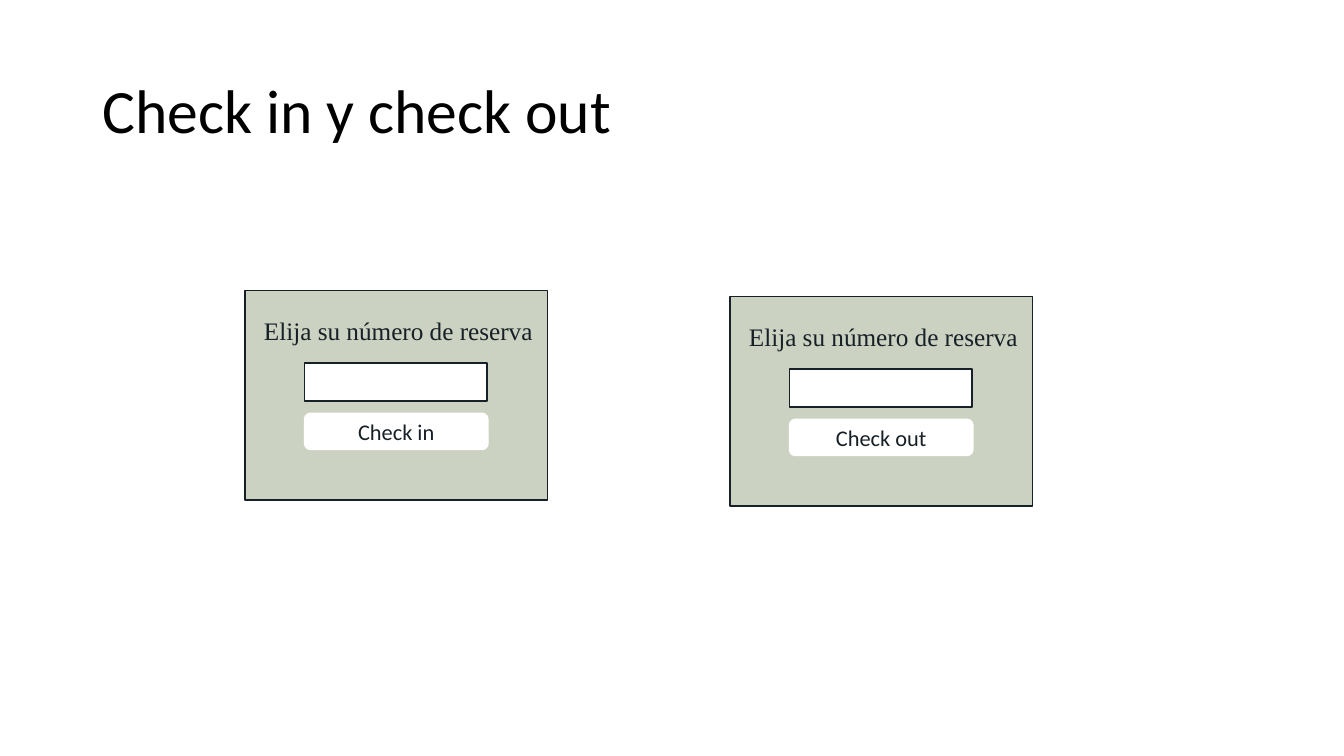
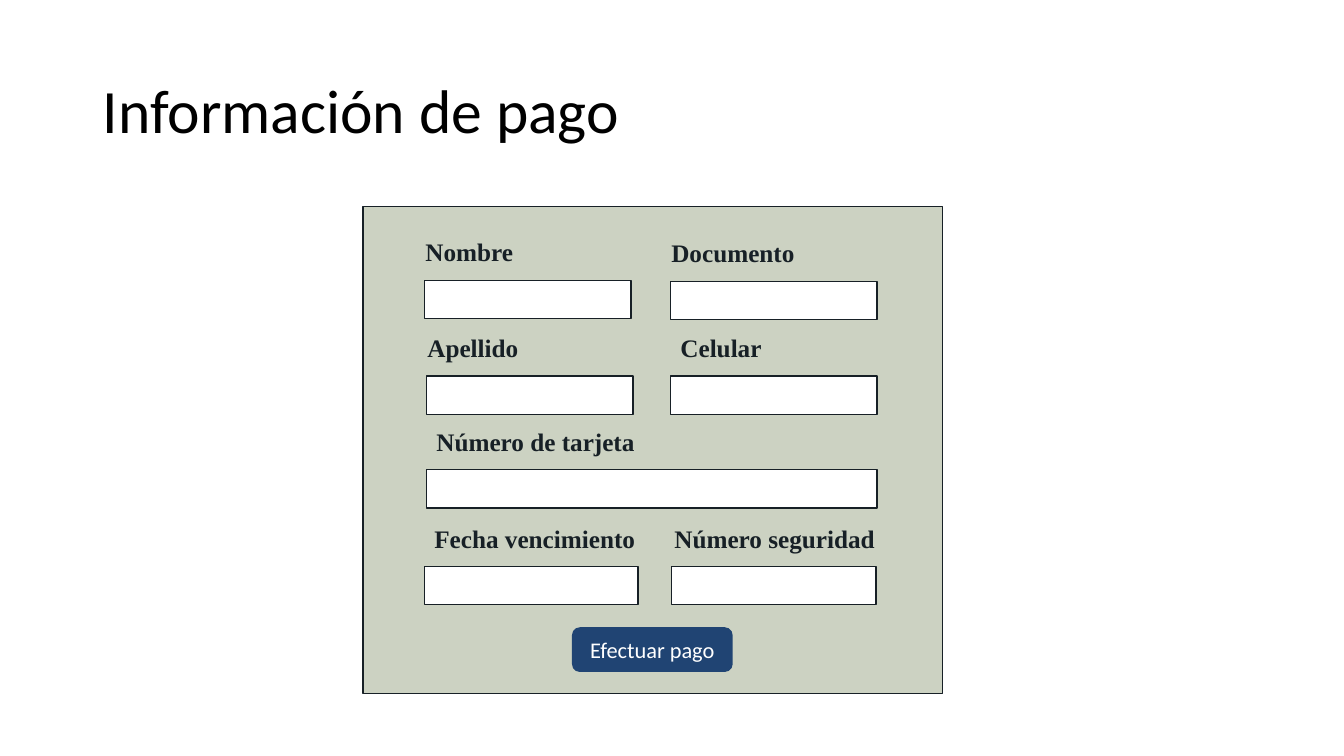
from pptx import Presentation
from pptx.dml.color import RGBColor
from pptx.enum.shapes import MSO_SHAPE
from pptx.enum.text import MSO_ANCHOR, MSO_AUTO_SIZE, PP_ALIGN
from pptx.util import Inches, Pt

INK, SAGE, WHITE, NAVY, BLACK = "172026", "CCD2C2", "FFFFFF", "204473", "000000"

TITLE_BOX = (0.92, 0.4, 11.5, 1.45)
TITLE_FONT = {"size": Pt(44), "name": "Calibri"}
BUTTON_FONT = {"size": Pt(16), "name": "Calibri"}
PROMPT_FONT = {"size": Pt(18), "name": "Times New Roman"}
LABEL_FONT = {**PROMPT_FONT, "bold": True}

TITLE_PARAGRAPH = {"line_spacing": 0.9}
LABEL_PARAGRAPH = {"space_after": Pt(6)}
BUTTON_PARAGRAPH = {"alignment": PP_ALIGN.CENTER}

TITLE_FRAME = {"word_wrap": True, "vertical_anchor": MSO_ANCHOR.MIDDLE}
LABEL_FRAME = {"word_wrap": True, "margin_right": 0,
               "auto_size": MSO_AUTO_SIZE.SHAPE_TO_FIT_TEXT}

ROW_HEIGHT = 0.38
LABEL_HEIGHT = 0.4
LABEL_RISE = 0.48

RESERVATION_TITLE = "Check in y check out"
RESERVATION_PROMPT = "Elija su número de reserva"
RESERVATION_CARDS = [
    ("Check in", 2.43, 2.88),
    ("Check out", 7.24, 2.94),
]

PAYMENT_TITLE = "Información de pago"
PAYMENT_PANEL = (3.6, 2.05, 5.75, 4.83)
PAYMENT_BUTTON = ("Efectuar pago", (5.68, 6.23, 1.58, 0.43))
PAYMENT_FIELDS = [
    ("Nombre", 4.12, 1.91, 4.21, 2.78, 2.05),
    ("Documento", 6.56, 1.91, 6.65, 2.79, 2.05),
    ("Apellido", 4.14, 1.91, 4.23, 3.73, 2.05),
    ("Celular", 6.65, 1.91, 6.65, 3.73, 2.05),
    ("Número de tarjeta", 4.23, 4.46, 4.23, 4.66, 4.47),
    ("Fecha vencimiento", 4.21, 2.22, 4.21, 5.62, 2.12),
    ("Número seguridad", 6.59, 2.19, 6.66, 5.62, 2.03),
]


def color(value):
    return RGBColor.from_string(value)


def apply(target, values):
    for name, value in values.items():
        setattr(target, name, value)


def write(frame, text, font, ink, paragraph_format, frame_format):
    apply(frame, frame_format)
    paragraph = frame.paragraphs[0]
    apply(paragraph, paragraph_format)
    run = paragraph.add_run()
    run.text = text
    apply(run.font, font)
    run.font.color.rgb = color(ink)


def add_text(slide, box, *style):
    area = slide.shapes.add_textbox(*map(Inches, box))
    write(area.text_frame, *style)


def add_box(slide, box, fill, line=INK, kind=MSO_SHAPE.RECTANGLE):
    box_shape = slide.shapes.add_shape(kind, *map(Inches, box))
    box_shape.shadow.inherit = False
    box_shape.fill.solid()
    box_shape.fill.fore_color.rgb = color(fill)
    box_shape.line.color.rgb = color(line)
    box_shape.line.width = Pt(1)
    return box_shape


def add_button(slide, text, box, fill, ink):
    button = add_box(slide, box, fill, fill, MSO_SHAPE.ROUNDED_RECTANGLE)
    write(button.text_frame, text, BUTTON_FONT, ink, BUTTON_PARAGRAPH, TITLE_FRAME)


def add_label(slide, text, box, font):
    add_text(slide, box, text, font, INK, LABEL_PARAGRAPH, LABEL_FRAME)


def add_titled_slide(deck, title):
    slide = deck.slides.add_slide(deck.slide_layouts[6])
    add_text(slide, TITLE_BOX, title, TITLE_FONT, BLACK, TITLE_PARAGRAPH, TITLE_FRAME)
    return slide


def build_reservations(deck):
    slide = add_titled_slide(deck, RESERVATION_TITLE)
    for action, left, top in RESERVATION_CARDS:
        add_box(slide, (left, top, 3, 2.08), SAGE)
        add_button(slide, action, (left + 0.59, top + 1.22, 1.82, 0.36), WHITE, INK)
        add_label(slide, RESERVATION_PROMPT,
                  (left + 0.09, top + 0.2, 3.23, LABEL_HEIGHT), PROMPT_FONT)
        add_box(slide, (left + 0.59, top + 0.72, 1.81, ROW_HEIGHT), WHITE)


def build_payment(deck):
    slide = add_titled_slide(deck, PAYMENT_TITLE)
    add_box(slide, PAYMENT_PANEL, SAGE)
    for text, label_left, label_width, left, top, width in PAYMENT_FIELDS:
        add_label(slide, text,
                  (label_left, top - LABEL_RISE, label_width, LABEL_HEIGHT), LABEL_FONT)
        add_box(slide, (left, top, width, ROW_HEIGHT), WHITE)
    add_button(slide, *PAYMENT_BUTTON, NAVY, WHITE)


def main():
    deck = Presentation()
    deck.slide_width, deck.slide_height = Inches(13.33), Inches(7.5)
    build_reservations(deck)
    build_payment(deck)
    deck.save("out.pptx")


if __name__ == "__main__":
    main()
